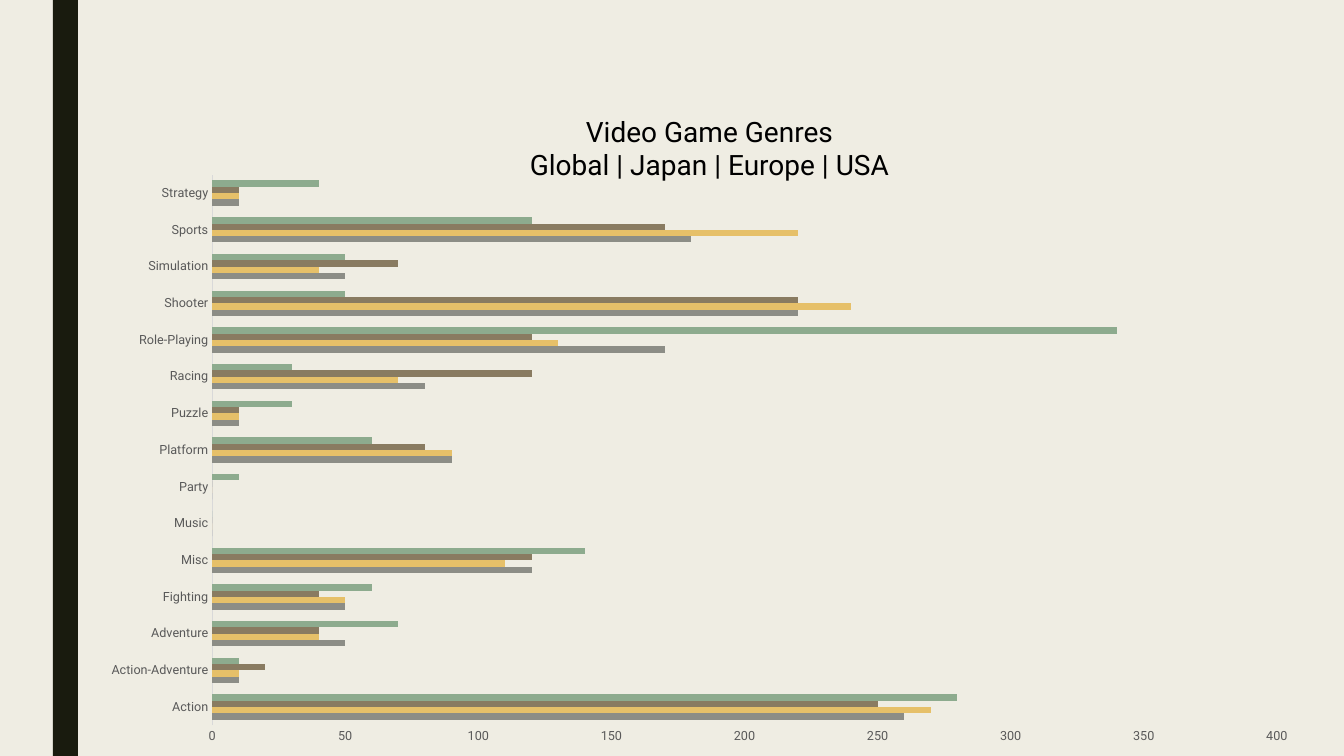
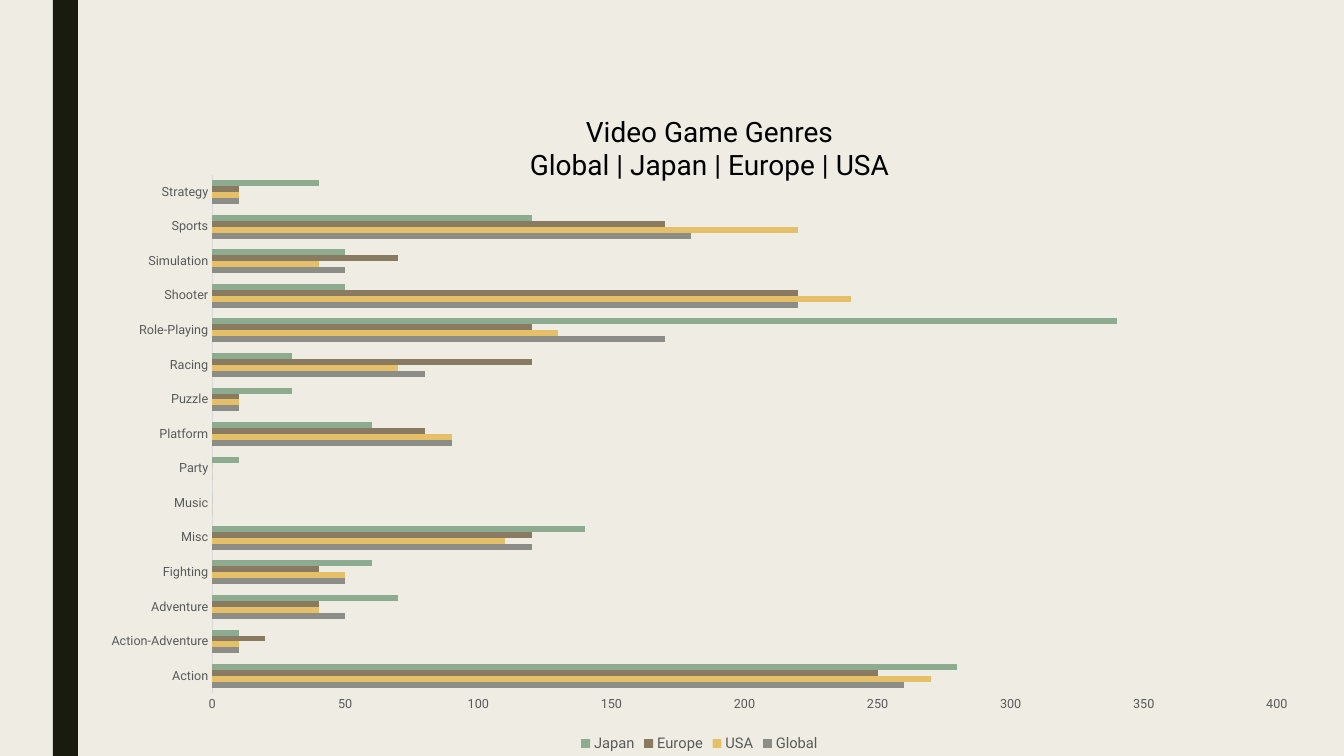
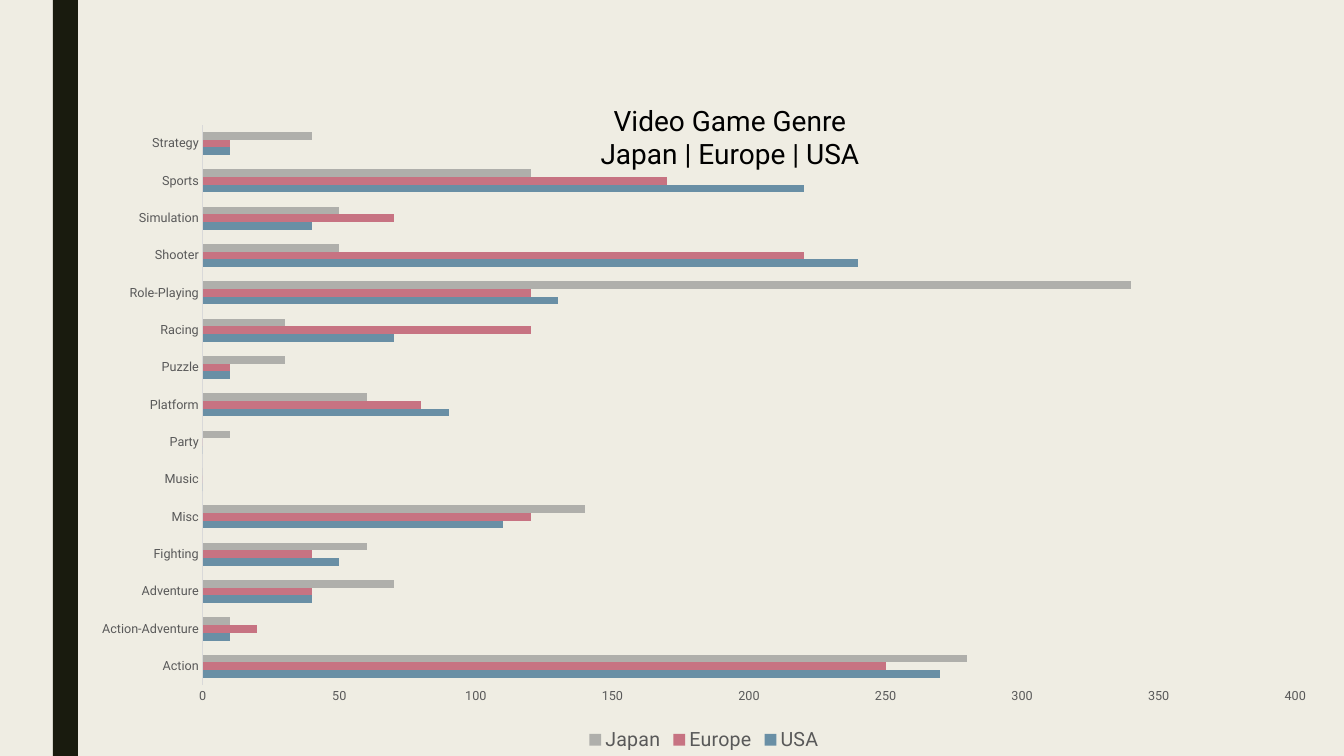
import pptx
import pptx.chart.data
import pptx.dml.color
import pptx.enum.chart
import pptx.enum.shapes
import pptx.enum.text
import pptx.oxml
import pptx.oxml.ns
import pptx.util

PX = 914400 / 100.8
FONT = "Roboto"
PAPER, BAND, INK, LABEL, RULE = "EFEDE3", "191B0E", "000000", "595959", "D9D9D9"
GENRES = ["Action", "Action-Adventure", "Adventure", "Fighting", "Misc", "Music", "Party", "Platform",
          "Puzzle", "Racing", "Role-Playing", "Shooter", "Simulation", "Sports", "Strategy"]
SALES = {
    "Global": [260, 10, 50, 50, 120, 0, 0, 90, 10, 80, 170, 220, 50, 180, 10],
    "USA": [270, 10, 40, 50, 110, 0, 0, 90, 10, 70, 130, 240, 40, 220, 10],
    "Europe": [250, 20, 40, 40, 120, 0, 0, 80, 10, 120, 120, 220, 70, 170, 10],
    "Japan": [280, 10, 70, 60, 140, 0, 10, 60, 30, 30, 340, 50, 50, 120, 40],
}
WORLD = {"Global": "8C8D86", "USA": "E6C069", "Europe": "897B61", "Japan": "8DAB8E"}
REGIONS = {"USA": "698FA5", "Europe": "C77382", "Japan": "AFAFAB"}
WORLD_TITLE = ["Video Game Genres", "Global | Japan | Europe | USA"]
REGIONS_TITLE = ["Video Game Genre", "Japan | Europe | USA"]
WORLD_TITLE_BOX, WORLD_BOX = (517, 109, 385, 78), (87, 163, 1225, 593)
REGIONS_TITLE_BOX, REGIONS_BOX = (590, 98, 280, 78), (77, 112, 1254, 644)
SLIDES = [
    (WORLD_TITLE, WORLD_TITLE_BOX, WORLD_BOX, WORLD, None),
    (WORLD_TITLE, WORLD_TITLE_BOX, WORLD_BOX, WORLD, 10.5),
    (REGIONS_TITLE, REGIONS_TITLE_BOX, REGIONS_BOX, REGIONS, 14),
]


def emu(*lengths):
    return [pptx.util.Emu(round(n * PX)) for n in lengths]


def rgb(color):
    return pptx.dml.color.RGBColor.from_string(color)


def assign(target, values):
    for name, value in values.items():
        setattr(target, name, value)


def set_font(font, size, color):
    assign(font, {"name": FONT, "size": pptx.util.Pt(size), "bold": False})
    font.color.rgb = rgb(color)


def set_fill(fill, color):
    fill.solid()
    fill.fore_color.rgb = rgb(color)


def no_fill():
    return pptx.oxml.parse_xml(
        f'<c:spPr {pptx.oxml.ns.nsdecls("c", "a")}><a:noFill/><a:ln><a:noFill/></a:ln></c:spPr>')


def add_master_band(prs, s):
    master = prs.slide_master
    set_fill(master.background.fill, PAPER)
    band = s.shapes.add_shape(pptx.enum.shapes.MSO_SHAPE.RECTANGLE, *emu(53, 0, 25, 756))
    band.shadow.inherit = False
    band.line.fill.background()
    set_fill(band.fill, BAND)
    master.shapes.element.append(band.element)


def place_title(s, box, lines):
    title = s.shapes.title
    assign(title, dict(zip(("left", "top", "width", "height"), emu(*box))))
    tf = title.text_frame
    tf.text = "\n".join(lines)
    assign(tf, {"word_wrap": False, "auto_size": pptx.enum.text.MSO_AUTO_SIZE.SHAPE_TO_FIT_TEXT,
                "vertical_anchor": pptx.enum.text.MSO_ANCHOR.TOP})
    for p in tf.paragraphs:
        p.alignment = pptx.enum.text.PP_ALIGN.CENTER
        set_font(p.runs[0].font, 20, INK)


def format_axes(chart):
    none = pptx.enum.chart.XL_TICK_MARK.NONE
    for axis in (chart.category_axis, chart.value_axis):
        assign(axis, {"major_tick_mark": none, "minor_tick_mark": none, "has_major_gridlines": False})
        set_font(axis.tick_labels.font, 9, LABEL)
    line = chart.category_axis.format.line
    line.width = pptx.util.Pt(0.75)
    set_fill(line.fill, RULE)
    chart.value_axis.format.line.fill.background()
    assign(chart.value_axis, {"minimum_scale": 0, "maximum_scale": 400, "major_unit": 50})


def add_legend(chart, size):
    chart.has_legend = True
    assign(chart.legend, {"position": pptx.enum.chart.XL_LEGEND_POSITION.BOTTOM, "include_in_layout": False})
    set_font(chart.legend.font, size, LABEL)


def add_genre_chart(s, box, colors, legend_size):
    data = pptx.chart.data.CategoryChartData()
    data.categories = GENRES
    for i, region in enumerate(colors, 1):
        data.add_series(region if legend_size else f"Series {i}", SALES[region])
    chart = s.shapes.add_chart(pptx.enum.chart.XL_CHART_TYPE.BAR_CLUSTERED, *emu(*box), data).chart
    assign(chart, {"has_title": False, "has_legend": False})
    set_font(chart.font, 10, INK)
    plot = chart.plots[0]
    assign(plot, {"gap_width": 182, "vary_by_categories": False})
    for series, color in zip(plot.series, colors.values()):
        set_fill(series.format.fill, color)
    format_axes(chart)
    if legend_size:
        add_legend(chart, legend_size)
    root = chart.element
    root.find(pptx.oxml.ns.qn("c:chart")).addnext(no_fill())
    root.find(".//" + pptx.oxml.ns.qn("c:plotArea")).append(no_fill())


def main():
    prs = pptx.Presentation()
    prs.slide_width, prs.slide_height = emu(1344, 756)
    for i, (lines, title_box, chart_box, colors, legend_size) in enumerate(SLIDES):
        s = prs.slides.add_slide(prs.slide_layouts[5])
        if i == 0:
            add_master_band(prs, s)
        place_title(s, title_box, lines)
        add_genre_chart(s, chart_box, colors, legend_size)
    prs.save("out.pptx")


if __name__ == "__main__":
    main()
